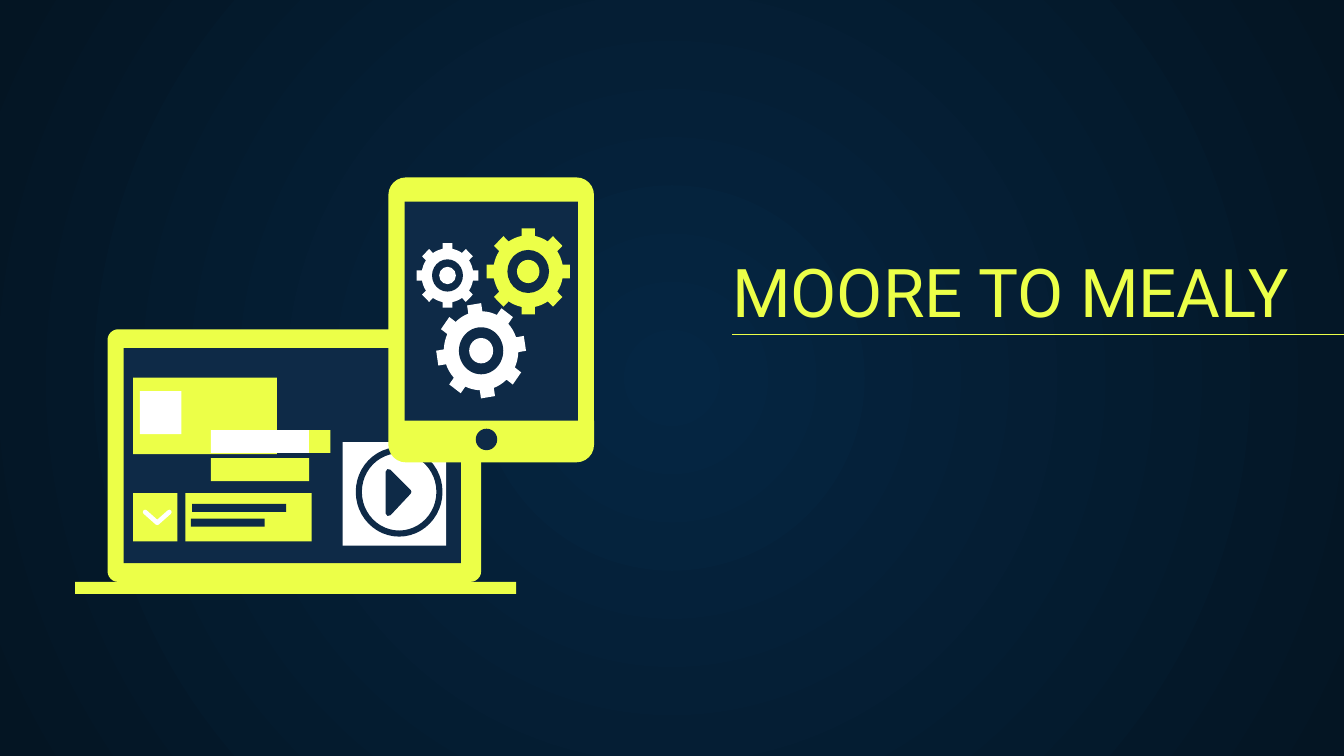
from math import cos, sin, asin, pi, radians, sqrt

from lxml.etree import SubElement
from pptx import Presentation
from pptx.dml.color import RGBColor
from pptx.enum.shapes import MSO_CONNECTOR, MSO_SHAPE
from pptx.enum.text import MSO_ANCHOR
from pptx.oxml import parse_xml
from pptx.oxml.ns import nsdecls, qn
from pptx.util import Inches, Pt

LIME, NAVY, WHITE = "ECFF48", "0E2A47", "FFFFFF"


def rgb(value):
    return RGBColor.from_string(value)


def style(sp, fill=None, line=None, weight=0.75):
    sp.shadow.inherit = False
    if fill:
        sp.fill.solid()
        sp.fill.fore_color.rgb = rgb(fill)
    else:
        sp.fill.background()
    if line:
        sp.line.color.rgb = rgb(line)
        sp.line.width = Pt(weight)
    else:
        sp.line.fill.background()
    return sp


def add_shape(s, kind, x, y, w, h, fill=None, radius=None, **kw):
    sp = s.shapes.add_shape(kind, Inches(x), Inches(y), Inches(w), Inches(h))
    if radius:
        sp.adjustments[0] = radius / min(w, h)
    return style(sp, fill, **kw)


def add_oval(s, cx, cy, rx, ry, fill=None, **kw):
    return add_shape(s, MSO_SHAPE.OVAL, cx - rx, cy - ry, 2 * rx, 2 * ry, fill, **kw)


def add_outline(s, points, closed=True, rounded=False, **kw):
    pts = [(Inches(x), Inches(y)) for x, y in points]
    builder = s.shapes.build_freeform(*pts[0])
    builder.add_line_segments(pts[1:], close=closed)
    sp = style(builder.convert_to_shape(), **kw)
    if rounded:
        ln = sp.line._get_or_add_ln()
        ln.set("cap", "rnd")
        SubElement(ln, qn("a:round"))
    return sp


def add_text(s, text, x, y, w, h, size=18, font="Roboto", color=LIME,
             anchor=MSO_ANCHOR.TOP):
    tf = s.shapes.add_textbox(Inches(x), Inches(y), Inches(w), Inches(h)).text_frame
    tf.word_wrap = True
    tf.vertical_anchor = anchor
    tf.margin_left = tf.margin_right = tf.margin_top = tf.margin_bottom = Inches(0.1)
    r = tf.paragraphs[0].add_run()
    r.text = text
    r.font.size, r.font.name = Pt(size), font
    r.font.color.rgb = rgb(color)


def set_background(s, center, edge):
    s.background.fill.solid()
    bg = s.background._cSld.bg.bgPr
    bg.replace(bg[0], parse_xml(
        f'<a:gradFill {nsdecls("a")} rotWithShape="1"><a:gsLst>'
        f'<a:gs pos="0"><a:srgbClr val="{center}"/></a:gs>'
        f'<a:gs pos="100000"><a:srgbClr val="{edge}"/></a:gs></a:gsLst>'
        '<a:path path="circle"><a:fillToRect l="50000" t="50000" r="50000" b="50000"/>'
        '</a:path></a:gradFill>'))


def draw_title(s, x, y, w, h):
    add_text(s, "MOORE TO MEALY", x, y, w, h, size=36, anchor=MSO_ANCHOR.BOTTOM)
    rule = s.shapes.add_connector(MSO_CONNECTOR.STRAIGHT, Inches(x + 0.1),
                                  Inches(y + 0.59), Inches(10), Inches(y + 0.59))
    rule.line.color.rgb = rgb(LIME)
    rule.line.width = Pt(0.75)
    SubElement(rule._element.spPr, qn("a:effectLst"))


def draw_gear(s, cx, cy, rx, ry, color, turn=0, teeth=8):
    body, half = 0.84, 0.16  # body radius and half tooth width, as shares of the radius
    root, base, step = sqrt(body ** 2 - half ** 2), asin(half / body), 2 * pi / teeth
    points = []
    for i in range(teeth):
        a = i * step + radians(turn)
        # Tooth
        for u, v in ((root, -half), (1, -half), (1, half), (root, half)):
            points.append((cx + rx * (u * cos(a) - v * sin(a)),
                           cy + ry * (u * sin(a) + v * cos(a))))
        # Rim up to the next tooth
        for k in (1, 2, 3):
            b = a + base + (step - 2 * base) * k / 4
            points.append((cx + rx * body * cos(b), cy + ry * body * sin(b)))
    add_outline(s, points, fill=color)
    add_oval(s, cx, cy, 0.5 * rx, 0.5 * ry, NAVY)
    add_oval(s, cx, cy, 0.27 * rx, 0.27 * ry, color)


def draw_laptop(s, x, y, w, h):
    # Case, base and screen
    add_shape(s, MSO_SHAPE.ROUNDED_RECTANGLE, x + 0.24, y, w - 0.5, h - 0.09, LIME, 0.08)
    add_shape(s, MSO_SHAPE.RECTANGLE, x, y + h - 0.09, w, 0.09, LIME)
    add_shape(s, MSO_SHAPE.RECTANGLE, x + 0.36, y + 0.14, 2.51, 1.6, NAVY)
    # Page blocks
    blocks = [
        (0.43, 0.36, 1.07, 0.57, LIME), (0.48, 0.46, 0.31, 0.32, WHITE),
        (0.82, 1.22, 0.94, 0.36, LIME), (0.87, 1.3, 0.7, 0.06, NAVY),
        (0.86, 1.41, 0.55, 0.06, NAVY), (0.43, 1.22, 0.33, 0.36, LIME),
        (1.01, 0.96, 0.73, 0.17, LIME), (1.01, 0.75, 0.73, 0.17, WHITE),
        (1.74, 0.75, 0.16, 0.17, LIME), (1.99, 0.84, 0.77, 0.77, WHITE),
    ]
    for dx, dy, bw, bh, color in blocks:
        add_shape(s, MSO_SHAPE.RECTANGLE, x + dx, y + dy, bw, bh, color)
    # Chevron
    add_outline(s, [(x + 0.52, y + 1.36), (x + 0.61, y + 1.44), (x + 0.7, y + 1.36)],
                closed=False, rounded=True, line=WHITE, weight=2.5)
    # Play button
    add_oval(s, x + 2.41, y + 1.21, 0.3, 0.31, line=NAVY, weight=3.25)
    add_outline(s, [(x + 2.33, y + 1.06), (x + 2.33, y + 1.37), (x + 2.48, y + 1.21)],
                rounded=True, fill=NAVY, line=NAVY, weight=3)


def draw_tablet(s, x, y, w, h):
    # Case, screen and home button
    add_shape(s, MSO_SHAPE.ROUNDED_RECTANGLE, x, y, w, h, LIME, 0.13)
    add_shape(s, MSO_SHAPE.RECTANGLE, x + 0.12, y + 0.18, w - 0.24, h - 0.49, NAVY)
    add_oval(s, x + 0.73, y + 1.95, 0.08, 0.08, NAVY)
    # Gears
    draw_gear(s, x + 1.04, y + 0.7, 0.31, 0.32, LIME)
    draw_gear(s, x + 0.44, y + 0.73, 0.23, 0.24, WHITE)
    draw_gear(s, x + 0.69, y + 1.29, 0.33, 0.35, WHITE, turn=-9)


def main():
    prs = Presentation()
    # Widescreen, 16:9
    prs.slide_width, prs.slide_height = Inches(10), Inches(10 * 9 / 16)
    s = prs.slides.add_slide(prs.slide_layouts[6])
    set_background(s, "052643", "041523")
    draw_title(s, 5.35, 1.9, 4.53, 0.66)
    draw_laptop(s, 0.56, 2.45, 3.28, 1.97)
    draw_tablet(s, 2.89, 1.32, 1.53, 2.12)
    prs.save("out.pptx")


if __name__ == "__main__":
    main()
